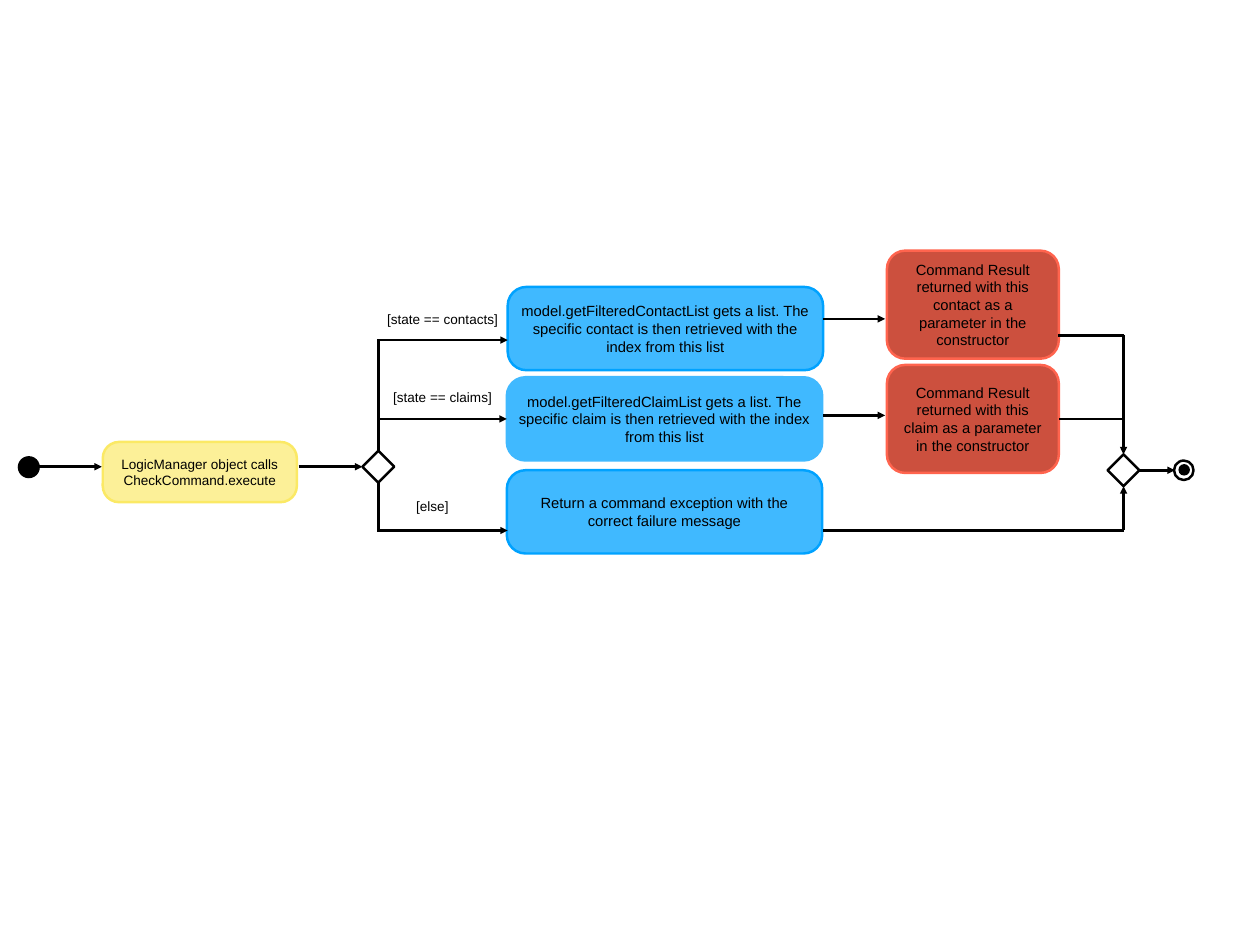
from lxml import etree
from pptx import Presentation
from pptx.dml.color import RGBColor
from pptx.enum.shapes import MSO_CONNECTOR, MSO_SHAPE as SHAPE
from pptx.enum.text import MSO_ANCHOR, MSO_AUTO_SIZE, PP_ALIGN
from pptx.oxml.ns import qn
from pptx.util import Inches, Pt

BLACK, WHITE = "000000", "FFFFFF"
YELLOW, YELLOW_EDGE = "FCF098", "FBE965"
BLUE, BLUE_EDGE = "40B9FF", "00A2FF"
RED, RED_EDGE = "CC503E", "FF644E"
TOP, LEFT, BOTTOM, RIGHT = range(4)
DIAMOND_SIZE = 0.36


def rgb(value):
    return RGBColor.from_string(value)


def add_node(s, kind, box, fill, edge=None):
    sp = s.shapes.add_shape(kind, *map(Inches, box))
    sp.shadow.inherit = False
    sp.fill.solid()
    sp.fill.fore_color.rgb = rgb(fill)
    if edge:
        sp.line.color.rgb = rgb(edge)
        sp.line.width = Pt(2)
    else:
        sp.line.fill.background()
    return sp


def set_text(sp, text, size, wrap=True):
    tf = sp.text_frame
    tf.word_wrap = wrap
    tf.vertical_anchor = MSO_ANCHOR.MIDDLE
    tf.margin_left = tf.margin_right = Inches(0.06)
    tf.margin_top = tf.margin_bottom = Inches(0.06)
    p = tf.paragraphs[0]
    p.text = text
    p.alignment = PP_ALIGN.CENTER
    p.font.name = "Arial"
    p.font.size = Pt(size)
    p.font.color.rgb = rgb(BLACK)


def add_action(s, box, text, fill, edge, radius, size=12):
    sp = add_node(s, SHAPE.ROUNDED_RECTANGLE, box, fill, edge)
    sp.adjustments[0] = radius
    set_text(sp, text, size)
    return sp


def add_label(s, box, text):
    sp = s.shapes.add_textbox(*map(Inches, box))
    set_text(sp, text, 11, wrap=False)
    sp.text_frame.auto_size = MSO_AUTO_SIZE.SHAPE_TO_FIT_TEXT


def add_diamond(s, x, y):
    """Place a diamond whose left corner is at x, y."""
    box = (x, y - DIAMOND_SIZE / 2, DIAMOND_SIZE, DIAMOND_SIZE)
    return add_node(s, SHAPE.DIAMOND, box, WHITE, BLACK)


def add_flow(s, start, end, arrow=True, begin_at=None, end_at=None):
    """Draw a line; begin_at and end_at are (shape, side) pairs to join."""
    c = s.shapes.add_connector(MSO_CONNECTOR.STRAIGHT, *map(Inches, (*start, *end)))
    if begin_at:
        c.begin_connect(*begin_at)
    if end_at:
        c.end_connect(*end_at)
    c.line.color.rgb = rgb(BLACK)
    c.line.width = Pt(2)
    if arrow:
        etree.SubElement(c.line._get_or_add_ln(), qn("a:tailEnd"), type="triangle")
    etree.SubElement(c._element.spPr, qn("a:effectLst"))


def add_start(s, x, y):
    """Place the start dot, first action and decision along the line y."""
    add_node(s, SHAPE.OVAL, (x, y - 0.12, 0.25, 0.25), BLACK)
    add_flow(s, (x + 0.24, y), (x + 0.95, y))
    add_action(s, (x + 0.96, y - 0.28, 2.19, 0.68),
               "LogicManager object calls CheckCommand.execute",
               YELLOW, YELLOW_EDGE, 0.269, size=11)
    decision = add_diamond(s, x + 3.89, y)
    add_flow(s, (x + 3.17, y), (x + 3.89, y), end_at=(decision, LEFT))
    return decision


def add_branches(s, x, decision):
    """Place the three guarded actions, with the branch line at x."""
    labels = [
        ((x, 3.46, 1.45, 0.29), "[state == contacts]"),
        ((x + 0.08, 4.34, 1.29, 0.29), "[state == claims]"),
        ((x + 0.36, 5.57, 0.5, 0.29), "[else]"),
    ]
    actions = [
        (x + 1.46, 3.24, BLUE_EDGE, "model.getFilteredContactList gets a list. The specific "
         "contact is then retrieved with the index from this list"),
        (x + 1.45, 4.26, BLUE, "model.getFilteredClaimList gets a list. The specific "
         "claim is then retrieved with the index from this list"),
        (x + 1.45, 5.31, BLUE_EDGE, "Return a command exception with the correct failure message"),
    ]
    for box, text in labels:
        add_label(s, box, text)
    _, claim, _ = [add_action(s, (left, top, 3.56, 0.94), text, BLUE, edge, 0.224)
                   for left, top, edge, text in actions]
    for y, side in ((3.84, TOP), (5.99, BOTTOM)):
        add_flow(s, (x, 5.27), (x, y), arrow=False, begin_at=(decision, side))
    for y, target in ((3.84, None), (4.73, (claim, LEFT)), (5.99, None)):
        add_flow(s, (x - 0.01, y), (x + 1.46, y), end_at=target)


def add_results(s, x):
    """Place the two result boxes at x, with the arrows that lead to them."""
    results = []
    for thing, top, y in (("contact", 2.83, 3.6), ("claim", 4.12, 4.69)):
        text = f"Command Result returned with this {thing} as a parameter in the constructor"
        results.append(add_action(s, (x, top, 1.94, 1.22), text, RED, RED_EDGE, 0.17))
        add_flow(s, (x - 0.72, y), (x - 0.02, y))
    return results


def add_finish(s, x, y, claim_result):
    """Place the merge diamond centred at x, y, its inflows and the end node."""
    merge = add_diamond(s, x - DIAMOND_SIZE / 2, y)
    add_flow(s, (x - 0.74, 3.79), (x, 3.79), arrow=False)
    add_flow(s, (x - 0.74, 4.73), (x, 4.73), arrow=False, begin_at=(claim_result, RIGHT))
    add_flow(s, (x - 3.39, 5.99), (x + 0.01, 5.99), arrow=False)
    for start_y, side in ((3.78, TOP), (5.99, BOTTOM)):
        add_flow(s, (x, start_y), (x, y), end_at=(merge, side))
    add_node(s, SHAPE.OVAL, (x + 0.57, y - 0.11, 0.22, 0.22), WHITE, BLACK)
    add_flow(s, (x + 0.18, y), (x + 0.58, y), begin_at=(merge, RIGHT))
    add_node(s, SHAPE.OVAL, (x + 0.62, y - 0.07, 0.13, 0.13), BLACK)


def main():
    prs = Presentation()
    prs.slide_width, prs.slide_height = Inches(14.22), Inches(10.67)
    s = prs.slides.add_slide(prs.slide_layouts[6])
    decision = add_start(s, 0.2, 5.27)
    add_branches(s, 4.27, decision)
    _, claim_result = add_results(s, 10.01)
    add_finish(s, 12.68, 5.31, claim_result)
    prs.save("out.pptx")


if __name__ == "__main__":
    main()
